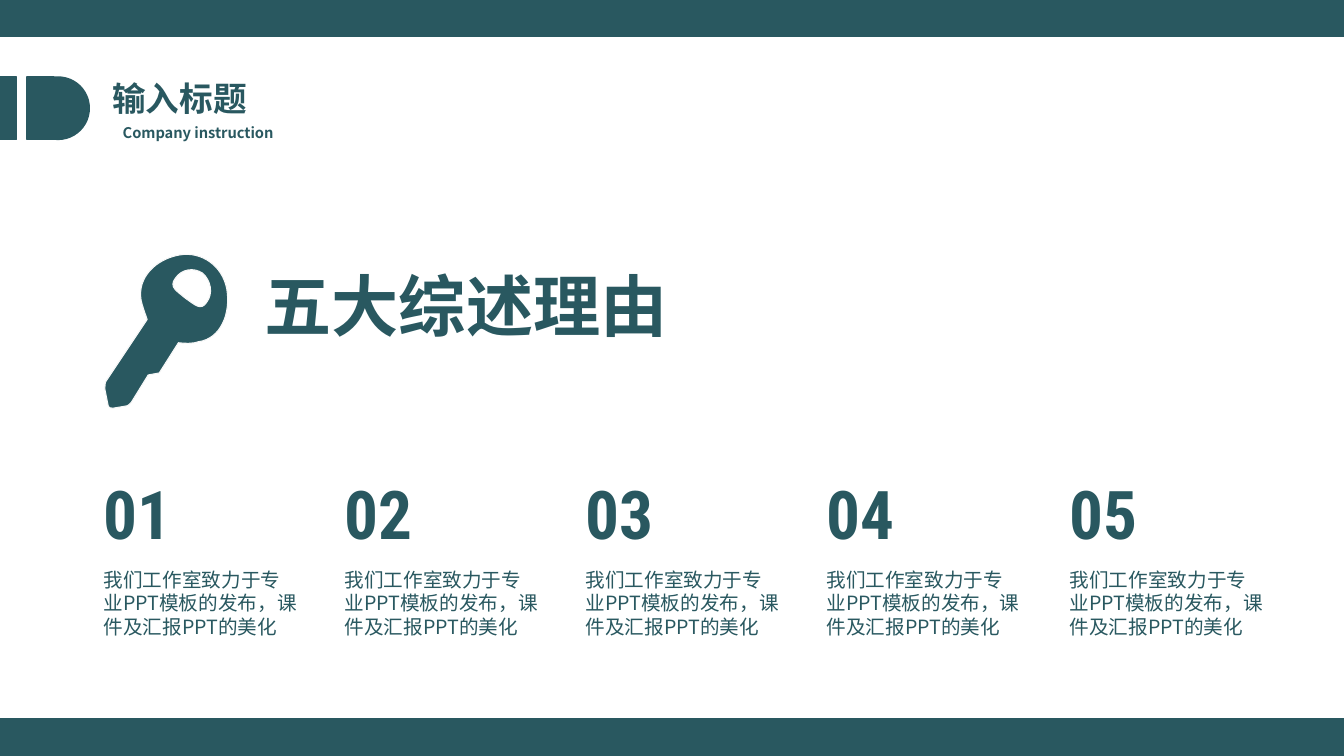
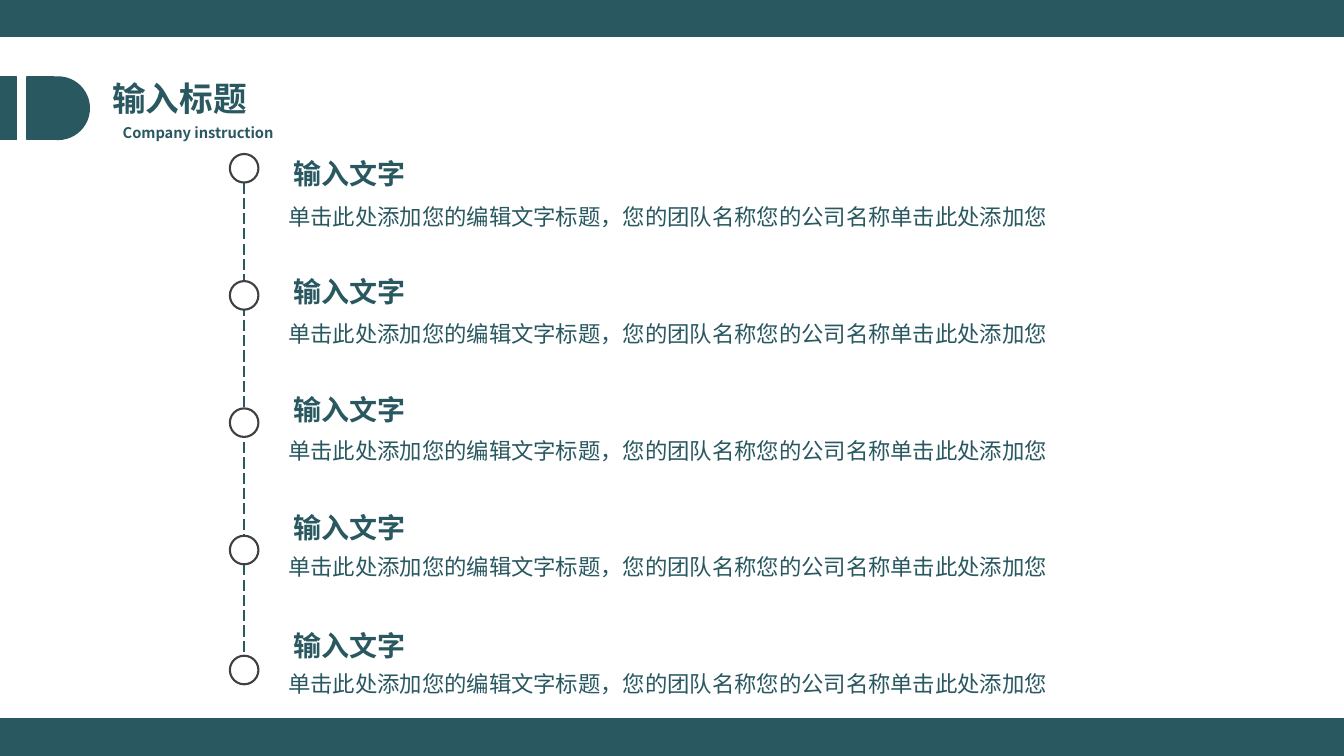
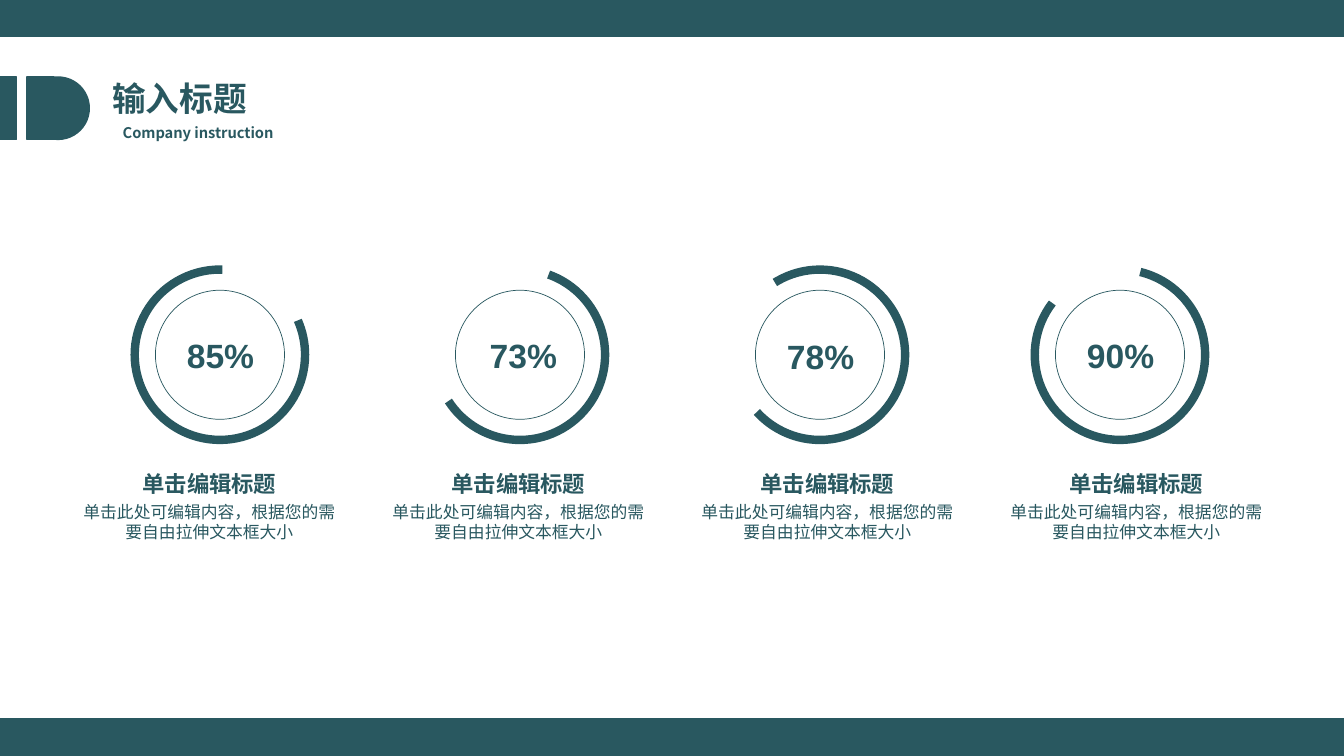
from dataclasses import dataclass

from lxml import etree
from pptx import Presentation
from pptx import util as u
from pptx.dml.color import RGBColor
from pptx.enum import dml, shapes, text
from pptx.oxml import ns

Pt = u.Pt
COLOURS = {"teal": "295860", "white": "FFFFFF", "ring": "404040", "edge": "F8F8F8"}
CJK = "Noto Sans CJK SC"
ALIGN = text.PP_ALIGN
ANCHOR = text.MSO_ANCHOR
SHAPE = shapes.MSO_SHAPE
WIDTH, HEIGHT = 960, 540

# Outline of the key in a grid of 0.72 pt: two numbers are a corner, six a Bézier curve.
KEY_UNIT = 0.72
KEY_BODY = [
    (225, 287), (221, 264, 200, 249, 178, 253), (155, 257, 136, 275, 140, 298),
    (141, 303, 144, 311, 146, 317), (106, 377), (104, 379, 104, 383, 104, 386),
    (107, 401), (107, 404, 110, 406, 112, 405), (124, 403),
    (127, 403, 130, 400, 131, 398), (147, 372), (158, 370), (177, 340),
    (183, 341, 192, 341, 197, 339), (219, 336, 229, 311, 225, 287),
]
KEY_HOLE = [
    (205, 300), (199, 309, 193, 302, 184, 296), (176, 289, 167, 285, 174, 276),
    (180, 267, 192, 265, 201, 271), (209, 278, 212, 291, 205, 300),
]


@dataclass(frozen=True)
class Box:
    left: float
    top: float
    width: float
    height: float

    def lengths(self) -> list:
        return [Pt(v) for v in (self.left, self.top, self.width, self.height)]


@dataclass(frozen=True)
class Style:
    size: float
    bold: bool = False
    font: str = CJK
    align: ALIGN = ALIGN.LEFT
    anchor: ANCHOR = ANCHOR.TOP
    margins: tuple = (7.2, 3.6)
    wrap: bool = True


@dataclass(frozen=True)
class Gauge:
    label: str
    start: float
    end: float
    shift_x: float = 0.4
    shift_y: float = 0


WIDE_MARGINS = (9.6, 4.8)
TITLE = Style(24, bold=True, wrap=False)
SUBTITLE = Style(10.5, bold=True, wrap=False)
HEADLINE = Style(48, bold=True, anchor=ANCHOR.MIDDLE, margins=WIDE_MARGINS)
NUMBER = Style(48, bold=True, font="Roboto Condensed", margins=WIDE_MARGINS)
REASON = Style(14, margins=WIDE_MARGINS)
STEP_HEADING = Style(20, bold=True)
STEP_BODY = Style(16)
PERCENT = Style(24, bold=True, font="Arial", align=ALIGN.CENTER,
                anchor=ANCHOR.MIDDLE, wrap=False)
CAPTION = Style(16, bold=True, font="Arial", align=ALIGN.CENTER, margins=(0, 0))
CAPTION_BODY = Style(12, font="Arial", align=ALIGN.CENTER, margins=(0, 0))

REASON_LEFTS = (64.4, 236.5, 408.6, 580.7, 754.4)
RING_TOPS = (110, 200.8, 291.7, 382.7, 468.4)
GAUGES = [
    Gauge("85%", 336.21, 271.62),
    Gauge("73%", 289.66, 147.1, shift_x=2.4),
    Gauge("78%", 238.05, 137.8, shift_y=0.6),
    Gauge("90%", 283.78, 217.41),
]


def colour(name: str) -> RGBColor:
    return RGBColor.from_string(COLOURS[name])


def write(shape, content: str, style: Style) -> None:
    frame = shape.text_frame
    frame.text = content
    frame.word_wrap = style.wrap
    frame.auto_size = (text.MSO_AUTO_SIZE.NONE if style.wrap
                       else text.MSO_AUTO_SIZE.SHAPE_TO_FIT_TEXT)
    frame.vertical_anchor = style.anchor
    frame.margin_left = frame.margin_right = Pt(style.margins[0])
    frame.margin_top = frame.margin_bottom = Pt(style.margins[1])
    for paragraph in frame.paragraphs:
        paragraph.alignment = style.align
        for run in paragraph.runs:
            run.font.size = Pt(style.size)
            run.font.bold = style.bold
            run.font.name = style.font
            run.font.color.rgb = colour("teal")
            east_asian = etree.SubElement(run._r.get_or_add_rPr(), ns.qn("a:ea"))
            east_asian.set("typeface", CJK)


def add_text(slide, box: Box, content: str, style: Style) -> None:
    write(slide.shapes.add_textbox(*box.lengths()), content, style)


def paint(shape, fill: str | None, line: str, weight: float) -> None:
    shape.shadow.inherit = False
    if fill:
        shape.fill.solid()
        shape.fill.fore_color.rgb = colour(fill)
    else:
        shape.fill.background()
    shape.line.color.rgb = colour(line)
    shape.line.width = Pt(weight)


def add_shape(parent, kind: SHAPE, box: Box, fill: str | None, line: str,
              weight: float = 1):
    shape = parent.shapes.add_shape(kind, *box.lengths())
    paint(shape, fill, line, weight)
    return shape


def centred(x: float, y: float, width: float, height: float) -> Box:
    return Box(x - width / 2, y - height / 2, width, height)


def add_header(slide) -> None:
    add_shape(slide, SHAPE.RECTANGLE, Box(0, 55, 11.9, 44.6), "teal", "teal")
    badge = slide.shapes.add_group_shape()
    add_shape(badge, SHAPE.RECTANGLE, Box(19.2, 55, 19.4, 44.6), "teal", "teal")
    add_shape(badge, SHAPE.OVAL, Box(19.2, 55, 44.6, 44.6), "teal", "teal")
    title = slide.shapes.title
    title.left, title.top, title.width, title.height = Box(73, 51.8, 111.6, 36).lengths()
    write(title, "输入标题", TITLE)
    add_text(slide, Box(80.6, 85, 126, 20.2), "Company instruction", SUBTITLE)


def key_points(outline: list) -> list:
    """All corners and control points of an outline, in EMU."""
    return [(Pt(x * KEY_UNIT), Pt(y * KEY_UNIT))
            for piece in outline for x, y in zip(piece[::2], piece[1::2])]


def bend(shape, pieces: list) -> None:
    """Join the three segments drawn for each curve into one Bézier segment."""
    segments = iter(list(shape._element.iter(ns.qn("a:lnTo"))))
    for piece in pieces:
        triple = [next(segments) for _ in piece[::2]]
        if len(triple) == 1:
            continue
        curve = etree.Element(ns.qn("a:cubicBezTo"))
        triple[0].addprevious(curve)
        for segment in triple:
            curve.append(segment[0])
            segment.getparent().remove(segment)


def add_key(slide) -> None:
    body, hole = key_points(KEY_BODY), key_points(KEY_HOLE)
    builder = slide.shapes.build_freeform(*body[0], scale=1.0)
    builder.add_line_segments(body[1:], close=True)
    builder.move_to(*hole[0])
    builder.add_line_segments(hole[1:], close=True)
    key = builder.convert_to_shape()
    bend(key, KEY_BODY[1:] + KEY_HOLE[1:])
    paint(key, "teal", "edge", 0.75)


def build_reasons(slide) -> None:
    add_text(slide, Box(179.3, 187.2, 309, 61.2), "五大综述理由", HEADLINE)
    add_key(slide)
    for number, left in enumerate(REASON_LEFTS, start=1):
        add_text(slide, Box(left, 332.6, 79.2, 48.2), f"{number:02}", NUMBER)
        add_text(slide, Box(left, 400.7, 158.4, 57.6),
                 "我们工作室致力于专业PPT模板的发布，课件及汇报PPT的美化", REASON)


def build_steps(slide) -> None:
    line = slide.shapes.add_connector(shapes.MSO_CONNECTOR.STRAIGHT,
                                      Pt(174.2), Pt(130.3), Pt(174.2), Pt(483))
    line.line.color.rgb = colour("teal")
    line.line.width = Pt(1)
    line.line.dash_style = dml.MSO_LINE.LONG_DASH
    etree.SubElement(line._element.spPr, ns.qn("a:effectLst"))
    for index, ring_top in enumerate(RING_TOPS):
        add_shape(slide, SHAPE.OVAL, Box(164.2, ring_top, 20.4, 20.4),
                  "white", "ring", 1.5)
        add_text(slide, Box(198.8, 141.8 + 83.3 * index, 652.3, 26.6),
                 "单击此处添加您的编辑文字标题，您的团队名称您的公司名称单击此处添加您",
                 STEP_BODY)
        add_text(slide, Box(202.3, 108.2 + 84.28 * index, 151.2, 31.7),
                 "输入文字", STEP_HEADING)


def build_gauges(slide) -> None:
    middle = 253.4
    for index, gauge in enumerate(GAUGES):
        centre = 157.1 + 214.3 * index
        add_shape(slide, SHAPE.OVAL, centred(centre, middle, 92.2, 92.2),
                  None, "teal", 0.5)
        arc = add_shape(slide, SHAPE.ARC, centred(centre, middle, 121.7, 121.7),
                        None, "teal", 6)
        # Angles are stored as 60000ths of a degree, adjustments as 100000ths.
        arc.adjustments[0] = gauge.start * 0.6
        arc.adjustments[1] = gauge.end * 0.6
        add_text(slide, centred(centre + gauge.shift_x, middle + gauge.shift_y, 63.4, 36),
                 gauge.label, PERCENT)
        left = 57.6 + 220.7 * index
        add_text(slide, Box(left, 335.8, 184, 19.4), "单击编辑标题", CAPTION)
        add_text(slide, Box(left, 358.6, 184, 28.8),
                 "单击此处可编辑内容，根据您的需要自由拉伸文本框大小", CAPTION_BODY)


def main() -> None:
    presentation = Presentation()
    presentation.slide_width, presentation.slide_height = Pt(WIDTH), Pt(HEIGHT)
    background = presentation.slide_master.background.fill
    background.solid()
    background.fore_color.rgb = colour("teal")
    layout = presentation.slide_layouts.get_by_name("Title Only")
    for index, build in enumerate((build_reasons, build_steps, build_gauges)):
        slide = presentation.slides.add_slide(layout)
        if index == 0:
            panel = add_shape(slide, SHAPE.RECTANGLE, Box(0, 27.2, WIDTH, 485.3),
                              "white", "white")
            layout.shapes.element.insert(2, panel.element)  # shared, behind everything
        build(slide)
        add_header(slide)
    presentation.save("out.pptx")


if __name__ == "__main__":
    main()
